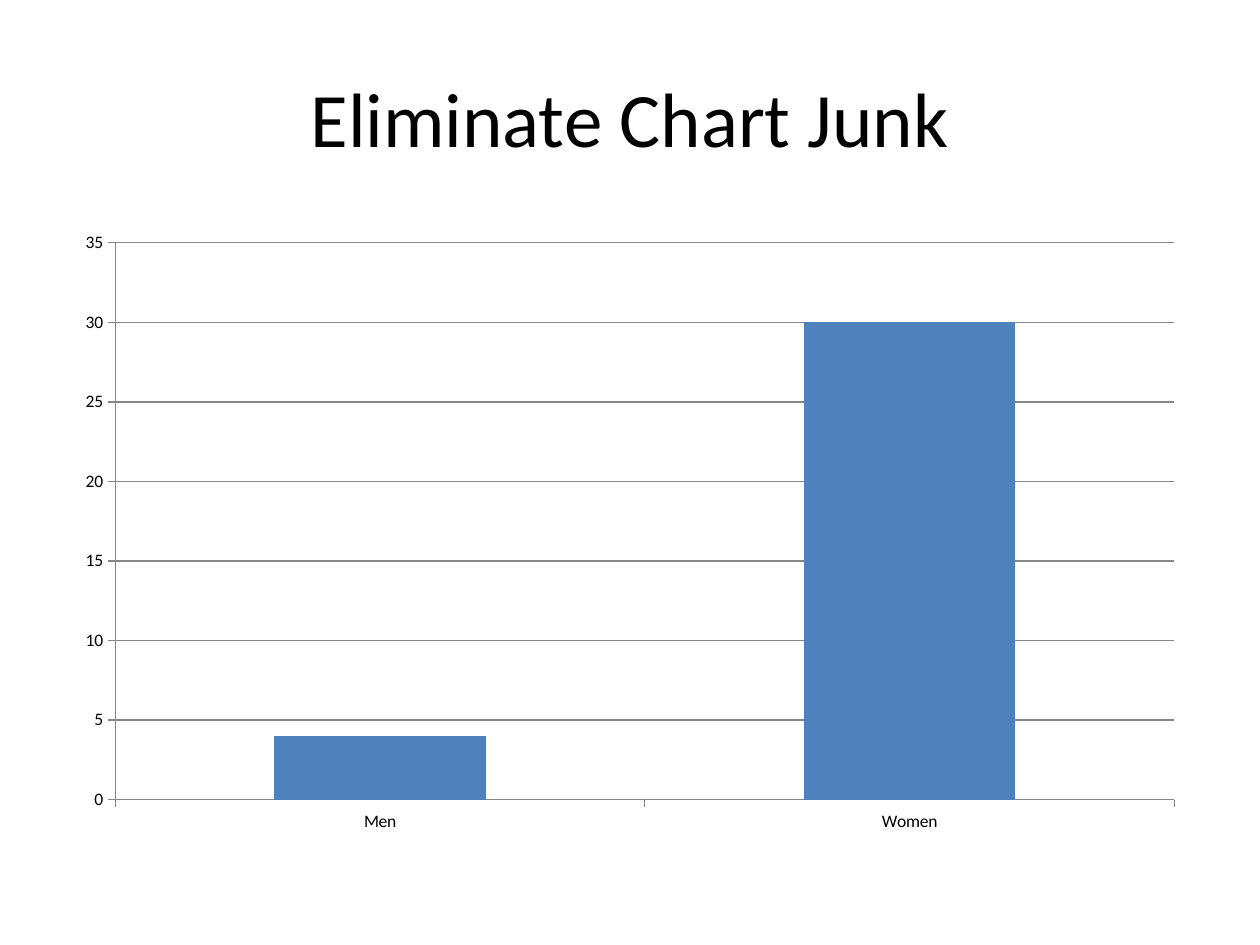
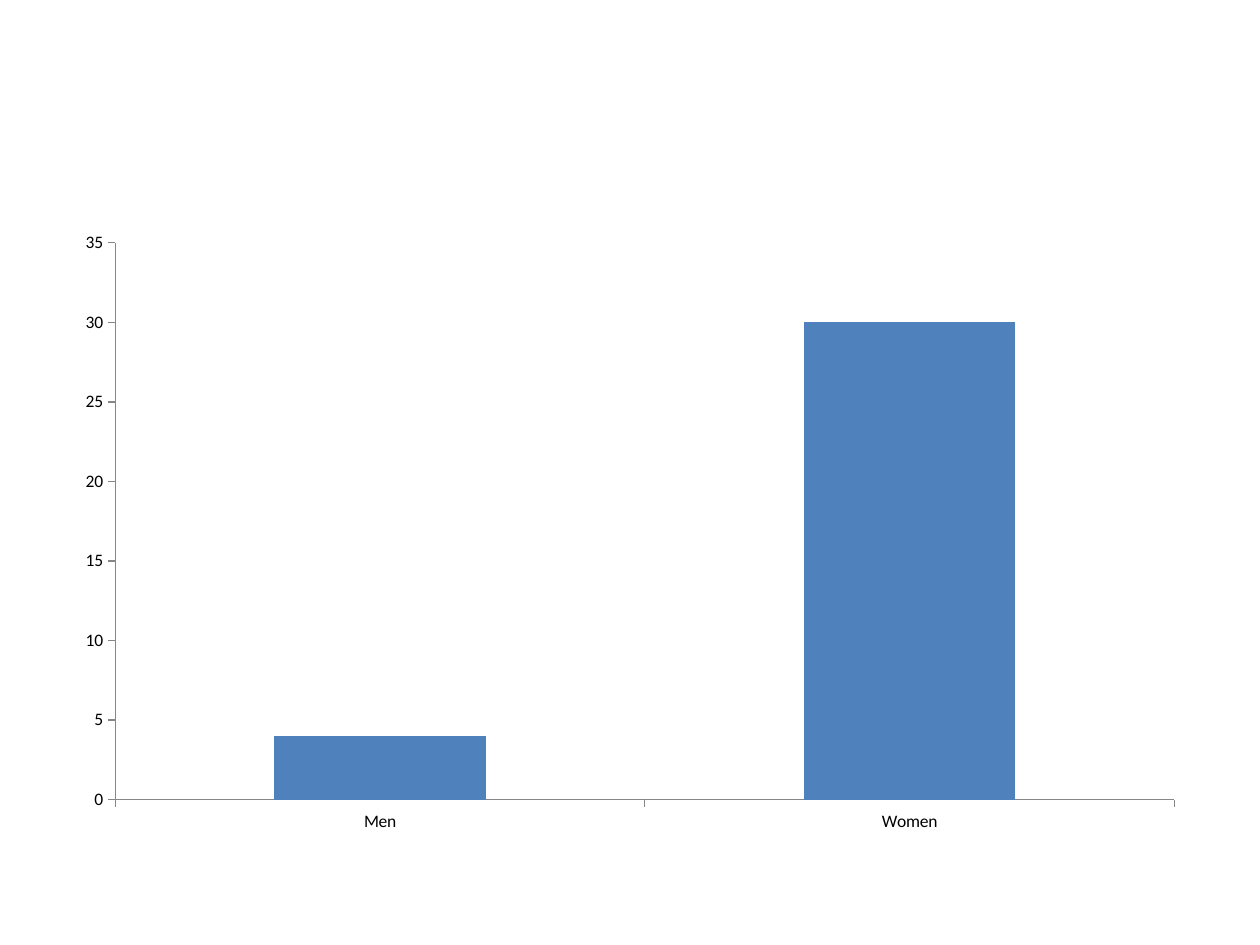
"""Build two slides that show one column chart with and without grid lines."""
from dataclasses import dataclass

from pptx import Presentation
from pptx.chart.data import CategoryChartData as Data
from pptx.dml.color import RGBColor as Color
from pptx.enum.chart import XL_CHART_TYPE as Kind, XL_TICK_MARK as Tick
from pptx.enum.text import MSO_ANCHOR as Anchor, PP_ALIGN as Align
from pptx.util import Inches, Pt

SLIDES = [
    {"title": "Eliminate Chart Junk", "grid": True},
    {"title": None, "grid": False},
]
CATS = ("Men", "Women")
NAME, VALS = "Series 1", (4, 30)
TOP = 35
STEP = 5


@dataclass(frozen=True)
class Theme:
    font: str = "Calibri"
    ink: str = "000000"
    bar: str = "4F81BD"
    rule: str = "878787"
    paper: str = "FFFFFF"
    head: int = 44
    label: int = 10
    thin: float = 0.75


THEME = Theme()
SIZE = (10, 7.5)
HEAD_BOX = (0.5, 0.3, 9, 1.25)
PLOT_BOX = (0.5, 1.75, 9, 4.95)


def place(box):
    return [Inches(n) for n in box]


def style(font, size, color=THEME.ink):
    font.name, font.size, font.bold = THEME.font, Pt(size), False
    font.color.rgb = Color.from_string(color)


def rule(line):
    line.color.rgb = Color.from_string(THEME.rule)
    line.width = Pt(THEME.thin)


def write(slide, text, box, size=THEME.head, color=THEME.ink,
          align=Align.CENTER, anchor=Anchor.MIDDLE):
    frame = slide.shapes.add_textbox(*place(box)).text_frame
    frame.word_wrap, frame.vertical_anchor = True, anchor
    para = frame.paragraphs[0]
    para.alignment = align
    run = para.add_run()
    run.text = text
    style(run.font, size, color)


def plot(slide, grid):
    data = Data()
    data.categories = CATS
    data.add_series(NAME, VALS)
    chart = slide.shapes.add_chart(
        Kind.COLUMN_CLUSTERED, *place(PLOT_BOX), data).chart
    chart.has_title = chart.has_legend = False
    style(chart.font, THEME.label)
    bars = chart.plots[0]
    bars.gap_width, bars.vary_by_categories = 150, False
    fill = bars.series[0].format.fill
    fill.solid()
    fill.fore_color.rgb = Color.from_string(THEME.bar)
    for axis in (chart.category_axis, chart.value_axis):
        axis.major_tick_mark, axis.minor_tick_mark = Tick.OUTSIDE, Tick.NONE
        axis.has_major_gridlines = False
        rule(axis.format.line)
    scale = chart.value_axis
    scale.minimum_scale, scale.maximum_scale = 0, TOP
    scale.major_unit = STEP
    if grid:
        scale.has_major_gridlines = True
        rule(scale.major_gridlines.format.line)


def main():
    deck = Presentation()
    deck.slide_width, deck.slide_height = place(SIZE)
    for item in SLIDES:
        slide = deck.slides.add_slide(deck.slide_layouts[6])
        back = slide.background.fill
        back.solid()
        back.fore_color.rgb = Color.from_string(THEME.paper)
        if item["title"]:
            write(slide, item["title"], HEAD_BOX)
        plot(slide, item["grid"])
    deck.save("out.pptx")


if __name__ == "__main__":
    main()
